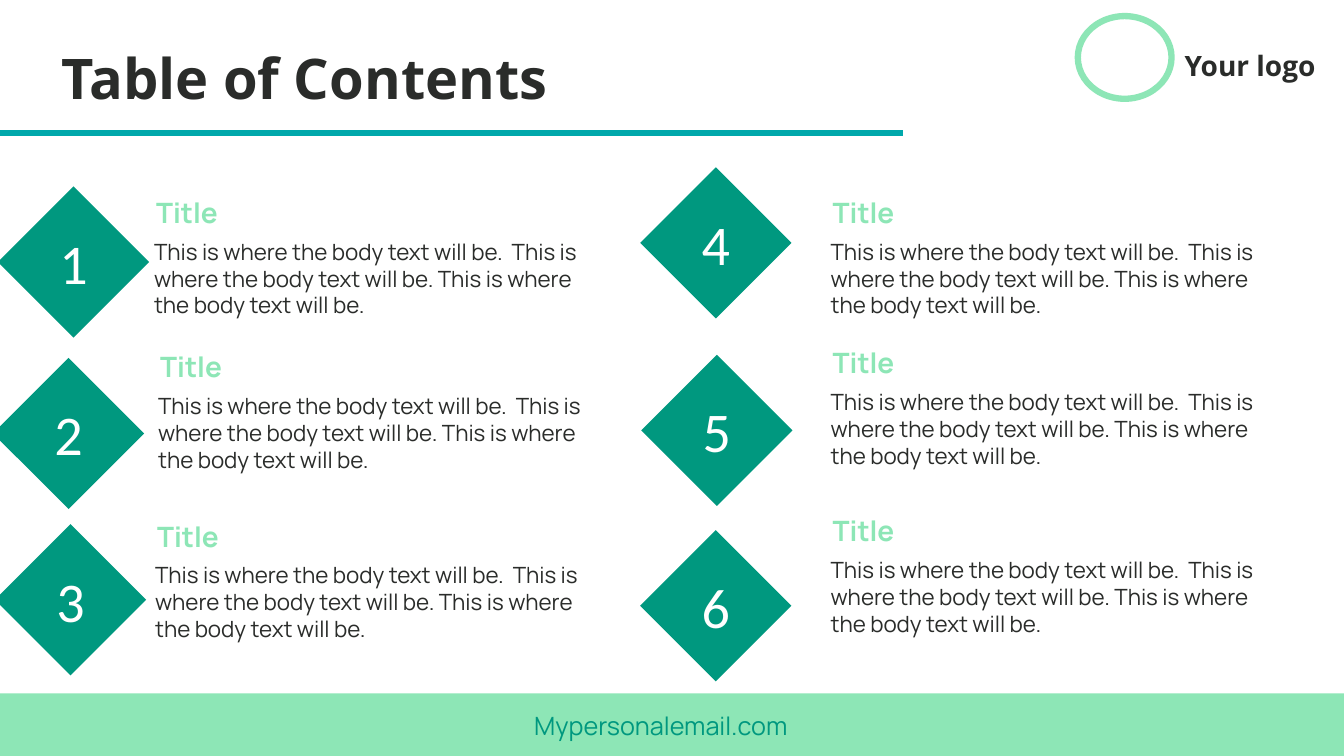
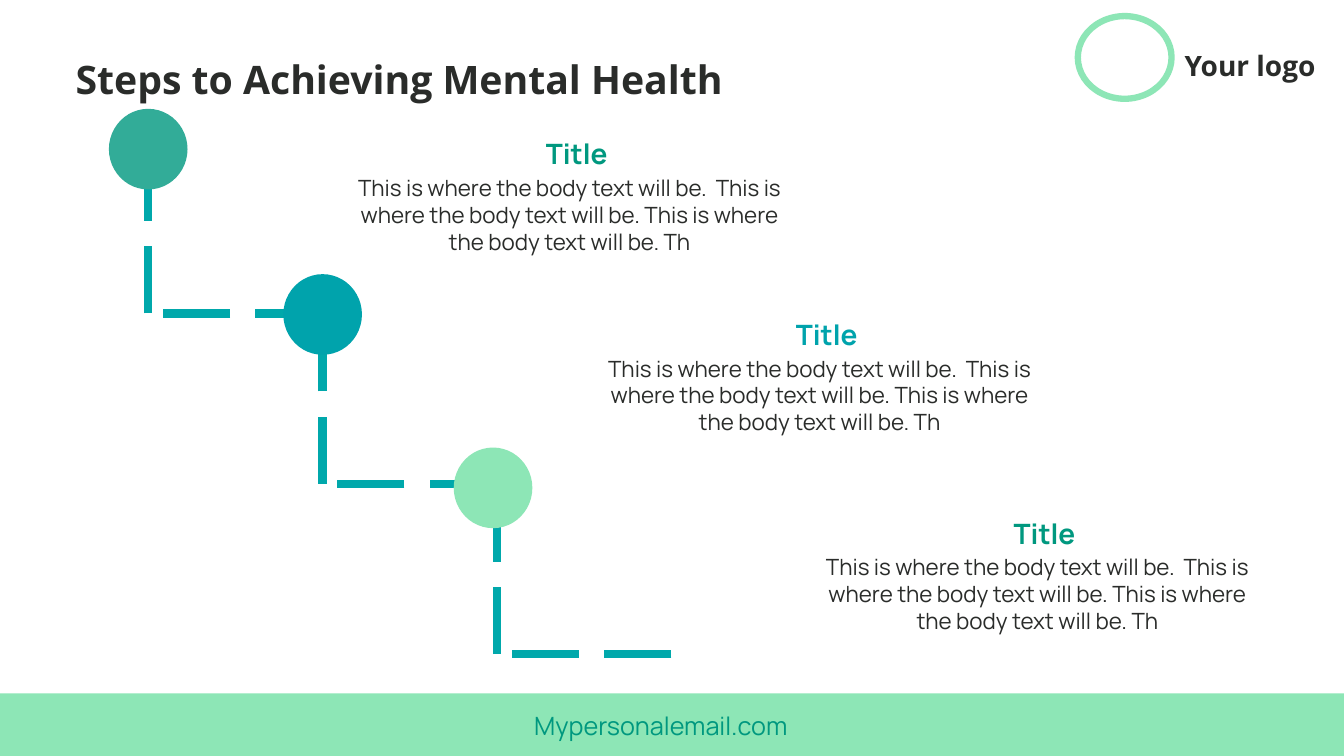
import lxml.etree
import pptx
import pptx.dml.color
import pptx.enum.dml
import pptx.enum.shapes
import pptx.enum.text
import pptx.oxml.ns
import pptx.util

Inches = pptx.util.Inches
Pt = pptx.util.Pt
SHAPE = pptx.enum.shapes.MSO_SHAPE
ALIGN = pptx.enum.text.PP_ALIGN
ANCHOR = pptx.enum.text.MSO_ANCHOR

INK = "2A2C2A"
MINT = "8DE6B6"
GREEN = "00987F"
SOFT_GREEN = "32AC98"
CYAN = "00A3AC"
RULE = "00A8AB"
WHITE = "FFFFFF"

HEADING_FONT = "Open Sans"
BODY_FONT = "Manrope"
NUMBER_FONT = "Calibri"

WIDTH, HEIGHT = 13.33, 7.5
BODY = ("This is where the body text will be.  This is where the body text "
        "will be. This is where the body text will be.")


def color(value):
    return pptx.dml.color.RGBColor.from_string(value)


def write(tf, text, size=16, font=BODY_FONT, fill=INK, bold=False,
          align=ALIGN.LEFT, anchor=ANCHOR.TOP):
    tf.word_wrap = True
    tf.auto_size = pptx.enum.text.MSO_AUTO_SIZE.NONE
    tf.vertical_anchor = anchor
    p = tf.paragraphs[0]
    p.alignment = align
    r = p.add_run()
    r.text = text
    r.font.size = Pt(size)
    r.font.name = font
    r.font.bold = bold
    r.font.color.rgb = color(fill)


class Deck:
    """Holds the shared style and the slide being built."""

    def __init__(self):
        self.prs = pptx.Presentation()
        self.prs.slide_width = Inches(WIDTH)
        self.prs.slide_height = Inches(HEIGHT)
        self.slide = None

    def add_slide(self, title, box, size, align=ALIGN.LEFT):
        """Start a slide with its title, footer band and brand corner."""
        layout = self.prs.slide_layouts.get_by_name("Title Only")
        self.slide = self.prs.slides.add_slide(layout)
        sp = self.slide.shapes.title
        sp.left, sp.top, sp.width, sp.height = map(Inches, box)
        write(sp.text_frame, title, size=size, font=HEADING_FONT, bold=True,
              align=align)
        self.shape(SHAPE.RECTANGLE, 0, 6.88, WIDTH, 0.62, fill=MINT)
        self.text("Mypersonalemail.com", 5.2, 7, 2.94, 0.4, size=18,
                  fill=GREEN)
        self.shape(SHAPE.OVAL, 10.69, 0.16, 0.93, 0.82, line=MINT)
        self.text("Your logo", 11.65, 0.43, 1.68, 0.44, size=20,
                  font=HEADING_FONT, bold=True)

    def shape(self, kind, left, top, width, height, fill=None, line=None):
        sp = self.slide.shapes.add_shape(
            kind, Inches(left), Inches(top), Inches(width), Inches(height))
        sp.shadow.inherit = False
        if fill:
            sp.fill.solid()
            sp.fill.fore_color.rgb = color(fill)
        else:
            sp.fill.background()
        if line:
            sp.line.color.rgb = color(line)
            sp.line.width = Pt(4.5)
        else:
            sp.line.fill.background()
        return sp

    def text(self, text, left, top, width, height, **style):
        sp = self.slide.shapes.add_textbox(
            Inches(left), Inches(top), Inches(width), Inches(height))
        write(sp.text_frame, text, **style)

    def line(self, x1, y1, x2, y2, width, dashed=False):
        cxn = self.slide.shapes.add_connector(
            pptx.enum.shapes.MSO_CONNECTOR.STRAIGHT,
            Inches(x1), Inches(y1), Inches(x2), Inches(y2))
        cxn.line.color.rgb = color(RULE)
        cxn.line.width = Pt(width)
        if dashed:
            cxn.line.dash_style = pptx.enum.dml.MSO_LINE.LONG_DASH
        lxml.etree.SubElement(cxn._element.spPr,
                              pptx.oxml.ns.qn("a:effectLst"))

    def diamond(self, number, center_x, center_y, size=1.5):
        sp = self.shape(SHAPE.DIAMOND, center_x - size / 2,
                        center_y - size / 2, size, size, fill=GREEN)
        tf = sp.text_frame
        tf.margin_left = tf.margin_right = 0
        tf.margin_top = tf.margin_bottom = 0
        write(tf, str(number), size=40, font=NUMBER_FONT, fill=WHITE,
              align=ALIGN.CENTER, anchor=ANCHOR.MIDDLE)

    def entry(self, body, left, top, fill, align=ALIGN.LEFT, indent=0.02,
              drop=0.42):
        """Place a body text, with its heading indented and drop above it."""
        self.text(body, left, top + drop, 4.64, 0.91, align=align)
        self.text("Title", left + indent, top, 1.68, 0.44, size=20,
                  fill=fill, bold=True, align=align)


def build_contents(deck):
    deck.add_slide("Table of Contents", (0.2, 0.38, 5.33, 0.77), 40,
                   ALIGN.RIGHT)
    deck.line(0, 1.32, 8.96, 1.32, 4.5)
    # Diamond centre, then the left and top of the entry beside it
    items = [
        (0.73, 2.6, 1.43, 1.89),
        (0.68, 4.3, 1.47, 3.42),
        (0.7, 5.95, 1.44, 5.1),
        (7.1, 2.41, 8.14, 1.89),
        (7.11, 4.27, 8.14, 3.38),
        (7.1, 6.01, 8.14, 5.05),
    ]
    for number, (x, y, left, top) in enumerate(items, 1):
        deck.diamond(number, x, y)
        deck.entry(BODY, left, top, MINT)


def build_steps(deck):
    deck.add_slide("Steps to Achieving Mental Health",
                   (0.65, 0.5, 10.54, 0.57), 28)
    run, rise = 1.73, 1.69
    for i in range(3):
        x, y = 1.47 + i * run, 1.42 + i * rise
        deck.line(x + run, y + rise, x, y + rise, 6, dashed=True)
        deck.line(x, y + rise, x, y, 6, dashed=True)
    # Circle position and colour, then entry position and heading colour
    steps = [
        (1.08, 1.08, SOFT_GREEN, 3.33, 1.31, GREEN),
        (2.81, 2.72, CYAN, 5.81, 3.1, CYAN),
        (4.5, 4.44, MINT, 7.97, 5.07, GREEN),
    ]
    for x, y, fill, left, top, title_fill in steps:
        deck.shape(SHAPE.OVAL, x, y, 0.78, 0.8, fill=fill)
        deck.entry(BODY + " Th", left, top, title_fill, ALIGN.CENTER,
                   indent=1.55, drop=0.37)


def main():
    deck = Deck()
    build_contents(deck)
    build_steps(deck)
    deck.prs.save("out.pptx")


if __name__ == "__main__":
    main()
